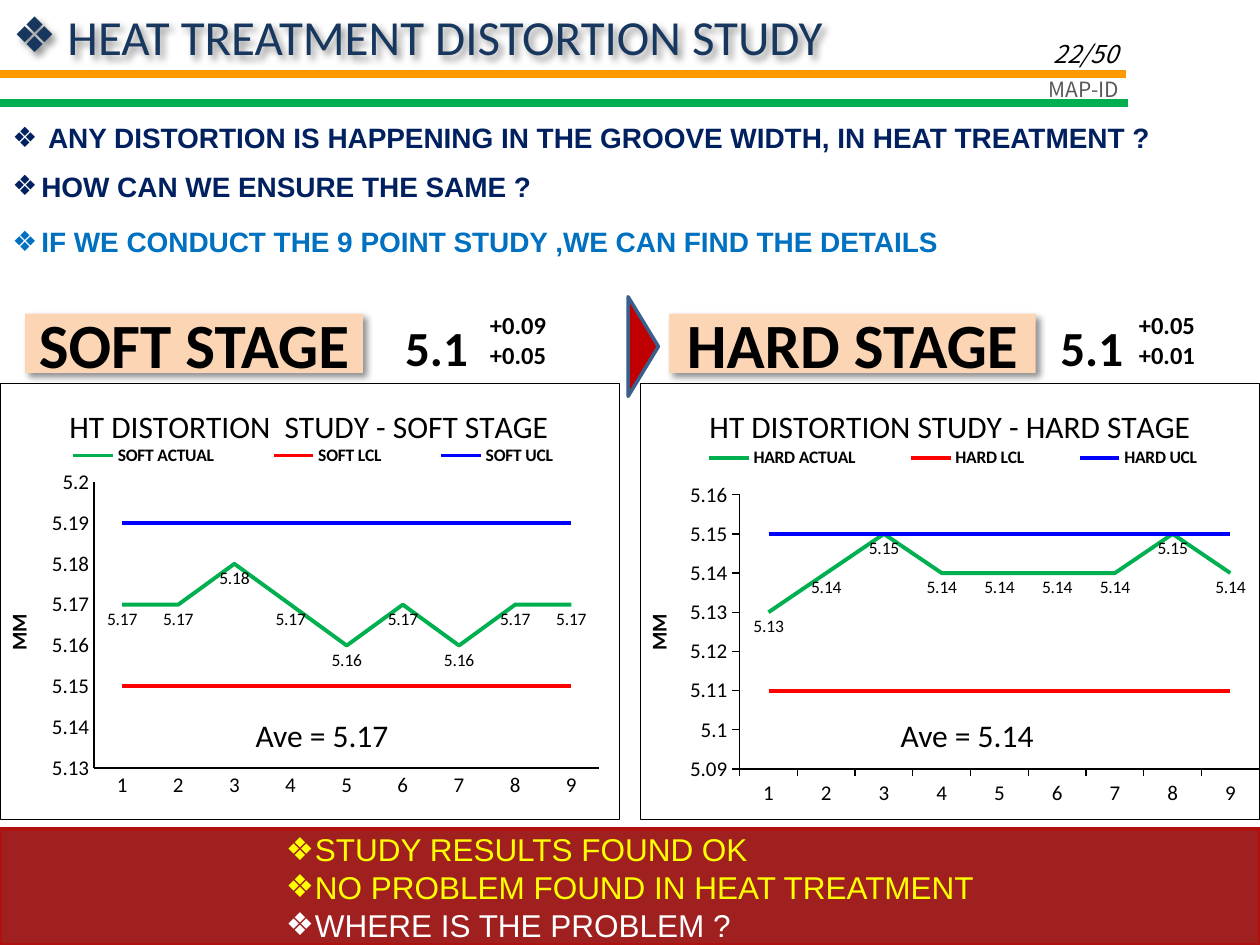
from pptx import Presentation, util as u, oxml
from pptx.chart.data import CategoryChartData
from pptx.dml.color import RGBColor
from pptx.enum import chart as ch, shapes as sh, text as tx
from pptx.oxml.ns import nsdecls, qn
from dataclasses import dataclass


@dataclass
class Theme:
    black: str = "000000"
    white: str = "FFFFFF"
    gray: str = "595959"
    title: str = "17375E"
    navy: str = "002060"
    blue: str = "0070C0"
    yellow: str = "FFFF00"
    peach: str = "FCD5B5"
    orange: str = "FF9900"
    green: str = "00B050"
    red: str = "FF0000"
    ucl: str = "0000FF"
    arrow: str = "C00000"
    edge: str = "3A5F8C"
    foot: str = "A02020"
    rim: str = "AF1111"
    sans: str = "Arial"
    body: str = "Calibri"
    page: str = "Noto Sans CJK JP"
    tag: int = 36
    head: int = 28
    big: int = 18
    text: int = 16
    note: int = 14
    axis: int = 12
    label: int = 10


T = Theme()
rgb = RGBColor.from_string
LEFT, MID, RIGHT = tx.PP_ALIGN.LEFT, tx.PP_ALIGN.CENTER, tx.PP_ALIGN.RIGHT
TOP, CORE, LOW = tx.MSO_ANCHOR.TOP, tx.MSO_ANCHOR.MIDDLE, tx.MSO_ANCHOR.BOTTOM
SHADOW = (f'<a:effectLst {nsdecls("a")}><a:outerShdw blurRad="50800" dist="38100" '
          'dir="2700000"><a:srgbClr val="000000"><a:alpha val="43000"/></a:srgbClr>'
          '</a:outerShdw></a:effectLst>')


def write(shape, rows, size, face=T.body, bold=False, italic=False,
          align=LEFT, anchor=TOP, start=0, hang=0):
    """Fill a shape with (text, colour, points before) rows; hang adds bullets."""
    frame = shape.text_frame
    frame.word_wrap = True
    frame.auto_size = tx.MSO_AUTO_SIZE.NONE
    frame.vertical_anchor = anchor
    for i, (words, color, gap) in enumerate(rows):
        par = frame.paragraphs[0] if i == 0 else frame.add_paragraph()
        par.alignment = align
        par.space_before = u.Pt(gap)
        if hang:
            ppr = par._p.get_or_add_pPr()
            ppr.set("marL", str(u.Inches(start + hang)))
            ppr.set("indent", str(-u.Inches(hang)))
            ppr.append(oxml.parse_xml(f'<a:buFont {nsdecls("a")} typeface="{T.sans}"/>'))
            ppr.append(oxml.parse_xml(f'<a:buChar {nsdecls("a")} char="❖"/>'))
        run = par.add_run()
        run.text = words
        font = run.font
        font.name, font.size, font.bold, font.italic = face, u.Pt(size), bold, italic
        font.color.rgb = rgb(color)


def place(node, slot, x, y, w=None, h=None):
    """Give a chart part a fixed place, as shares of the chart."""
    for old in node.findall(qn("c:layout")):
        node.remove(old)
    inner = '<c:layoutTarget val="inner"/>' if slot == 0 else ""
    modes = '<c:xMode val="edge"/><c:yMode val="edge"/>'
    sides = "".join(f'<c:{k} val="{v}"/>' for k, v in zip("xywh", (x, y, w, h))
                    if v is not None)
    node.insert(slot, oxml.parse_xml(
        f'<c:layout {nsdecls("c")}><c:manualLayout>{inner}{modes}{sides}'
        '</c:manualLayout></c:layout>'))


deck = Presentation()
deck.slide_width, deck.slide_height = u.Inches(10), u.Inches(7.5)
slide = deck.slides.add_slide(deck.slide_layouts[5])
parts = slide.shapes

# Header rules
for y, end, color in ((0.59, 8.94, T.orange), (0.82, 8.95, T.green)):
    rule = parts.add_connector(sh.MSO_CONNECTOR.STRAIGHT, 0, u.Inches(y),
                               u.Inches(end), u.Inches(y))
    rule.line.color.rgb = rgb(color)
    rule.line.width = u.Pt(4.5)
    rule._element.spPr.append(oxml.parse_xml(f'<a:effectLst {nsdecls("a")}/>'))

# Title
title = parts.title
title.left, title.top, title.width, title.height = map(u.Inches, (0, 0, 10, 0.57))
write(title, [(" HEAT TREATMENT DISTORTION STUDY", T.title, 0)], T.head, hang=0.34)
title.fill.background()
title._element.spPr.append(oxml.parse_xml(SHADOW))

# Charts: stage, left, actual values, limits, axis range, ticks, plot, legend top
soft = (5.17, 5.17, 5.18, 5.17, 5.16, 5.17, 5.16, 5.17, 5.17)
hard = (5.13, 5.14, 5.15, 5.14, 5.14, 5.14, 5.14, 5.15, 5.14)
for stage, head, left, vals, lcl, ucl, low, high, tick, plot, key in (
        ("SOFT", "HT DISTORTION  STUDY - SOFT STAGE ", 0, soft, 5.15, 5.19, 5.13, 5.2,
         ch.XL_TICK_MARK.NONE, (0.151, 0.226, 0.817, 0.656), 0.14),
        ("HARD", "HT DISTORTION STUDY - HARD STAGE", 5.08, hard, 5.11, 5.15, 5.09, 5.16,
         ch.XL_TICK_MARK.OUTSIDE, (0.16, 0.255, 0.84, 0.629), 0.145)):
    data = CategoryChartData()
    data.categories = [str(n) for n in range(1, 10)]
    data.add_series(f"{stage} ACTUAL", vals)
    data.add_series(f"{stage} LCL", [lcl] * 9)
    data.add_series(f"{stage} UCL", [ucl] * 9)
    chart = parts.add_chart(ch.XL_CHART_TYPE.LINE, u.Inches(left), u.Inches(3.04),
                            u.Inches(4.92), u.Inches(3.47), data).chart
    chart.font.name, chart.font.size = T.body, u.Pt(T.label)
    chart.font.color.rgb = rgb(T.black)
    chart.plots[0].vary_by_categories = False
    for line, color in zip(chart.series, (T.green, T.red, T.ucl)):
        line.smooth = False
        line.marker.style = ch.XL_MARKER_STYLE.NONE
        line.format.line.color.rgb = rgb(color)
        line.format.line.width = u.Pt(2.25)
    labels = chart.series[0].data_labels
    labels.show_value = True
    labels.position = ch.XL_LABEL_POSITION.BELOW
    for axis in (chart.category_axis, chart.value_axis):
        axis.has_major_gridlines = False
        axis.major_tick_mark, axis.minor_tick_mark = tick, ch.XL_TICK_MARK.NONE
        axis.tick_labels.font.size = u.Pt(T.axis)
        axis.format.line.color.rgb = rgb(T.black)
        axis.format.line.width = u.Pt(0.75)
    axis = chart.value_axis
    axis.minimum_scale, axis.maximum_scale, axis.major_unit = low, high, 0.01
    for owner, words, size, bold, x, y in ((chart, head, T.big, False, 0.102, 0.035),
                                           (axis, "MM", T.axis, True, 0, 0.52)):
        owner.has_title = True
        name = owner.axis_title if owner is axis else owner.chart_title
        run = name.text_frame.paragraphs[0].add_run()
        run.text = words
        run.font.name, run.font.size, run.font.bold = T.body, u.Pt(size), bold
        run.font.color.rgb = rgb(T.black)
        place(name._element, 1, x, y)
    chart.has_legend = True
    legend = chart.legend
    legend.position = ch.XL_LEGEND_POSITION.TOP
    legend.include_in_layout = False
    legend.font.bold, legend.font.size = True, u.Pt(T.label)
    place(legend._element, 1, 0.03, key, 0.95, 0.05)
    space = chart._chartSpace
    place(space.chart.plotArea, 0, *plot)
    space.chart.addnext(oxml.parse_xml(
        f'<c:spPr {nsdecls("c", "a")}><a:solidFill><a:srgbClr val="{T.white}"/></a:solidFill>'
        f'<a:ln w="9525"><a:solidFill><a:srgbClr val="{T.black}"/></a:solidFill></a:ln></c:spPr>'))

# Filled shapes: kind, place, fill, edge, edge width
made = []
for kind, at, fill, edge, width in (
        ("ISOSCELES_TRIANGLE", (4.71, 2.63, 0.79, 0.24), T.arrow, T.edge, 2),
        ("RECTANGLE", (0, 6.58, 10, 0.92), T.foot, T.rim, 2.25),
        ("RECTANGLE", (0.2, 2.49, 2.68, 0.47), T.peach, None, 0),
        ("RECTANGLE", (5.31, 2.49, 2.91, 0.47), T.peach, None, 0),
        ("RECTANGLE", (1.93, 5.63, 1.73, 0.4), T.white, None, 0),
        ("RECTANGLE", (7.05, 5.63, 1.73, 0.4), T.white, None, 0)):
    shape = parts.add_shape(getattr(sh.MSO_SHAPE, kind), *map(u.Inches, at))
    shape.shadow.inherit = False
    shape.fill.solid()
    shape.fill.fore_color.rgb = rgb(fill)
    if edge:
        shape.line.color.rgb = rgb(edge)
        shape.line.width = u.Pt(width)
    else:
        shape.line.fill.background()
    made.append(shape)
arrow, foot, *tags = made
arrow.rotation = 90

# Conclusions
foot.text_frame.margin_left = u.Inches(0.14)
write(foot, [("STUDY RESULTS FOUND OK", T.yellow, 0),
             ("NO PROBLEM FOUND IN HEAT TREATMENT", T.yellow, 0),
             ("WHERE IS THE PROBLEM ?", T.white, 0)],
      T.big, T.sans, anchor=CORE, start=2.13, hang=0.23)

# Stage names and averages
for tag, words in zip(tags[:2], ("SOFT STAGE", "HARD STAGE")):
    tag.text_frame.margin_left = tag.text_frame.margin_right = u.Inches(0.05)
    write(tag, [(words, T.black, 0)], T.tag, bold=True, align=MID, anchor=CORE)
    props = tag._element.spPr
    props.remove(props.find(qn("a:effectLst")))
    props.append(oxml.parse_xml(SHADOW))
for tag, words in zip(tags[2:], ("Ave = 5.17", "Ave = 5.14")):
    write(tag, [(words, T.black, 0)], T.big)

# Questions, page marks and tolerances
asks = [(" ANY DISTORTION IS HAPPENING IN THE GROOVE WIDTH, IN HEAT TREATMENT ?", T.navy, 0),
        ("HOW CAN WE ENSURE THE SAME ?", T.navy, 8.5),
        ("IF WE CONDUCT THE 9 POINT STUDY ,WE CAN FIND THE DETAILS", T.blue, 12.5)]
size = dict(size=T.head, bold=True, align=MID, anchor=CORE)
band = dict(size=T.note, bold=True, anchor=CORE)
for at, rows, style in (
        ((0, 0.91, 10, 1.51), asks, dict(size=T.text, face=T.sans, bold=True, hang=0.23)),
        ((6.89, 0.09, 2.08, 0.5), [("22/50", T.black, 0)],
         dict(size=T.note, face=T.page, italic=True, align=RIGHT, anchor=LOW)),
        ((7.48, 0.56, 1.5, 0.3), [("MAP-ID", T.gray, 0)],
         dict(size=T.axis, face=T.page, align=RIGHT)),
        ((3.03, 2.54, 0.87, 0.43), [("5.1", T.black, 0)], size),
        ((8.23, 2.54, 0.87, 0.43), [("5.1", T.black, 0)], size),
        ((3.79, 2.46, 0.94, 0.47), [("+0.09", T.black, 0), ("+0.05", T.black, 0)], band),
        ((8.94, 2.46, 0.94, 0.47), [("+0.05", T.black, 0), ("+0.01", T.black, 0)], band)):
    write(parts.add_textbox(*map(u.Inches, at)), rows, **style)

deck.save("out.pptx")
